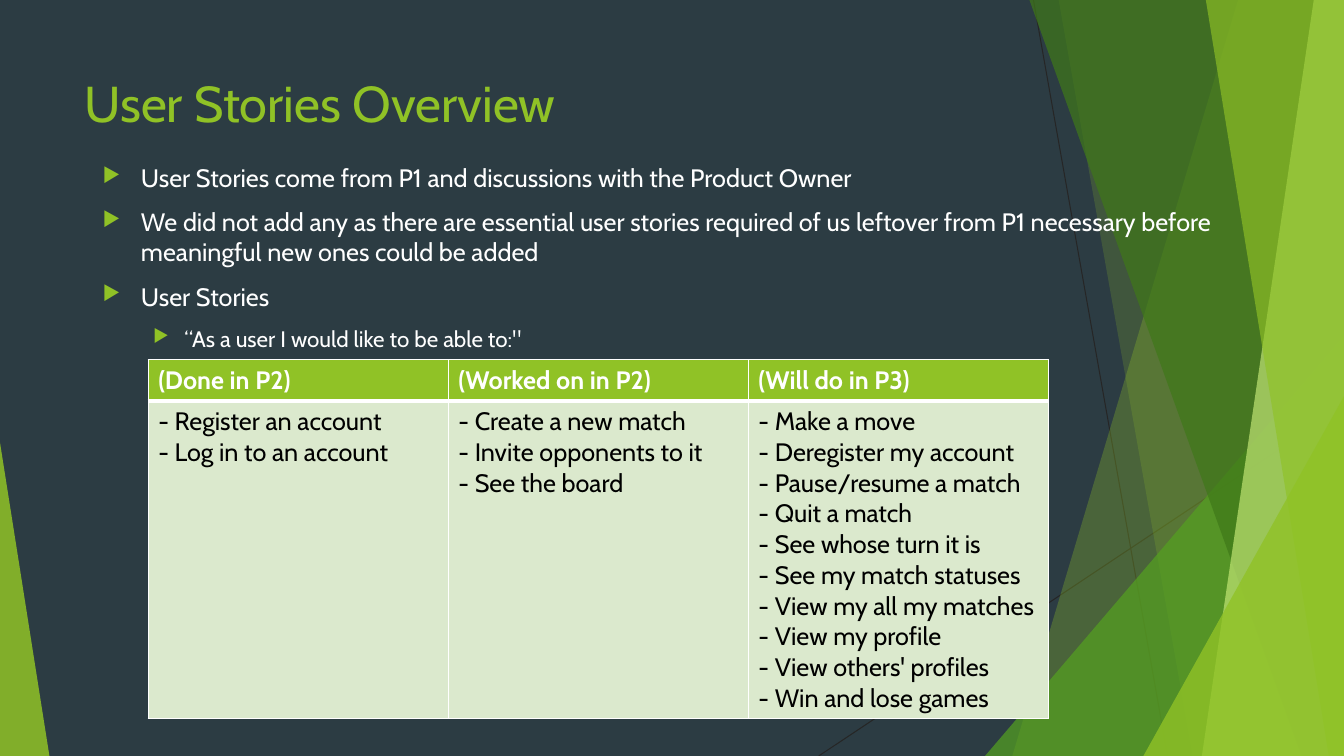
from lxml import etree
from pptx import Presentation
from pptx.dml.color import RGBColor
from pptx.enum.shapes import MSO_CONNECTOR as Connector, MSO_SHAPE as Preset
from pptx.enum.text import MSO_ANCHOR as Anchor
from pptx.oxml.ns import qn
from pptx.util import Inches, Pt

COLORS = {
    "slate": "2C3C43", "ink": "262626", "lime": "90C226", "green": "54A021",
    "forest": "3F7819", "pale": "C0E474", "mint": "DBE9CD",
    "white": "FFFFFF", "black": "000000",
}
FONT = "Cabin"
WIDTH, HEIGHT = 13.33, 7.5


def rgb(name):
    return RGBColor.from_string(COLORS[name])


def write(para, text, size, color, bold=False):
    span = para.add_run()
    span.text = text
    span.font.color.rgb = rgb(color)
    for key, value in {"name": FONT, "size": Pt(size), "bold": bold}.items():
        setattr(span.font, key, value)


deck = Presentation()
deck.slide_width, deck.slide_height = Inches(WIDTH), Inches(HEIGHT)
page = deck.slides.add_slide(deck.slide_layouts[6])
page.background.fill.solid()
page.background.fill.fore_color.rgb = rgb("slate")

# Thin background lines
for ends in [(10.25, 0, 11.58, HEIGHT), (WIDTH, 4.03, 8.12, HEIGHT)]:
    line = page.shapes.add_connector(Connector.STRAIGHT, *map(Inches, ends))
    line.line.color.rgb = rgb("ink")
    line.line.width = Pt(0.75)
    etree.SubElement(line._element.spPr, qn("a:effectLst"))

# Facets from back to front: a band has the x of its slanted left edge at top
# and bottom; a triangle has left, top, width and the position of its apex.
facets = [
    ("band", (12.28, 10.04), "lime", 30),
    ("band", (10.5, 11.83), "lime", 20),
    ("triangle", (9.77, 3.33, 3.56, 1), "green", 72),
    ("band", (10.21, 12.91), "forest", 70),
    ("band", (13.03, 11.92), "pale", 70),
    ("band", (11.96, 13.18), "lime", 65),
    ("triangle", (11.34, 3.93, 1.99, 1), "lime", 80),
    ("triangle", (0, 4.39, 0.49, 0), "lime", 85),
]
for kind, geometry, color, opacity in facets:
    if kind == "band":
        top_x, bottom_x = geometry
        outline = page.shapes.build_freeform(Inches(top_x), 0)
        corners = [(WIDTH, 0), (WIDTH, HEIGHT), (bottom_x, HEIGHT)]
        outline.add_line_segments([(Inches(x), Inches(y)) for x, y in corners])
        facet = outline.convert_to_shape()
    else:
        left, top, width, apex = geometry
        facet = page.shapes.add_shape(
            Preset.ISOSCELES_TRIANGLE,
            Inches(left), Inches(top), Inches(width), Inches(HEIGHT - top))
        facet.adjustments[0] = apex
    facet.shadow.inherit = False
    facet.line.fill.background()
    facet.fill.solid()
    facet.fill.fore_color.rgb = rgb(color)
    tint = facet._element.spPr.find(qn("a:solidFill"))[0]
    etree.SubElement(tint, qn("a:alpha"), val=str(opacity * 1000))

# Title
title = page.shapes.add_textbox(Inches(0.74), Inches(0.67), Inches(9.4), Inches(1.44))
title.text_frame.word_wrap = True
title.text_frame.vertical_anchor = Anchor.TOP
write(title.text_frame.paragraphs[0], "User Stories Overview", 36, "lime")

# Bullets: level, text
bullets = [
    (0, "User Stories come from P1 and discussions with the Product Owner"),
    (0, "We did not add any as there are essential user stories required of us "
        "leftover from P1 necessary before meaningful new ones could be added"),
    (0, "User Stories"),
    (1, "“As a user I would like to be able to:\""),
]
levels = [(0.38, 0.38, 18), (0.81, 0.31, 16)]  # margin, hanging indent, size
body = page.shapes.add_textbox(Inches(0.92), Inches(1.56), Inches(11.5), Inches(5.72))
body.text_frame.word_wrap = True
for index, (level, text) in enumerate(bullets):
    para = body.text_frame.add_paragraph() if index else body.text_frame.paragraphs[0]
    margin, hanging, size = levels[level]
    para.level = level
    para.space_before = Pt(10 if index else 0)
    props = para._p.get_or_add_pPr()
    props.set("marL", str(Inches(margin)))
    props.set("indent", str(-Inches(hanging)))
    bullet_color = etree.SubElement(props, qn("a:buClr"))
    etree.SubElement(bullet_color, qn("a:srgbClr"), val=COLORS["lime"])
    etree.SubElement(props, qn("a:buSzPct"), val="80000")
    etree.SubElement(props, qn("a:buChar"), char="▶")
    write(para, text, size, "white")

# Table of stories by phase
stories = {
    "(Done in P2)": ["Register an account", "Log in to an account"],
    "(Worked on in P2)": [
        "Create a new match", "Invite opponents to it", "See the board"],
    "(Will do in P3)": [
        "Make a move", "Deregister my account", "Pause/resume a match",
        "Quit a match", "See whose turn it is", "See my match statuses",
        "View my all my matches", "View my profile", "View others' profiles",
        "Win and lose games"],
}
row_heights = [0.41, 3.15]
table = page.shapes.add_table(
    2, len(stories), Inches(1.47), Inches(3.57),
    Inches(8.93), Inches(sum(row_heights))).table
table.horz_banding = False
for row, height in zip(table.rows, row_heights):
    row.height = Inches(height)

for col, (heading, items) in enumerate(stories.items()):
    cells = [
        ([heading], "lime", "white", True, {"B": 3}),
        ([f"- {item}" for item in items], "mint", "black", False, {"T": 3}),
    ]
    for row, (lines, fill, color, bold, thick) in enumerate(cells):
        cell = table.cell(row, col)
        props = cell._tc.get_or_add_tcPr()
        for side in "LRTB":
            border = etree.SubElement(
                props, qn(f"a:ln{side}"), w=str(Pt(thick.get(side, 1))))
            paint = etree.SubElement(border, qn("a:solidFill"))
            etree.SubElement(paint, qn("a:srgbClr"), val=COLORS["white"])
        cell.fill.solid()
        cell.fill.fore_color.rgb = rgb(fill)
        frame = cell.text_frame
        for index, text in enumerate(lines):
            para = frame.add_paragraph() if index else frame.paragraphs[0]
            write(para, text, 18, color, bold)

deck.save("out.pptx")
